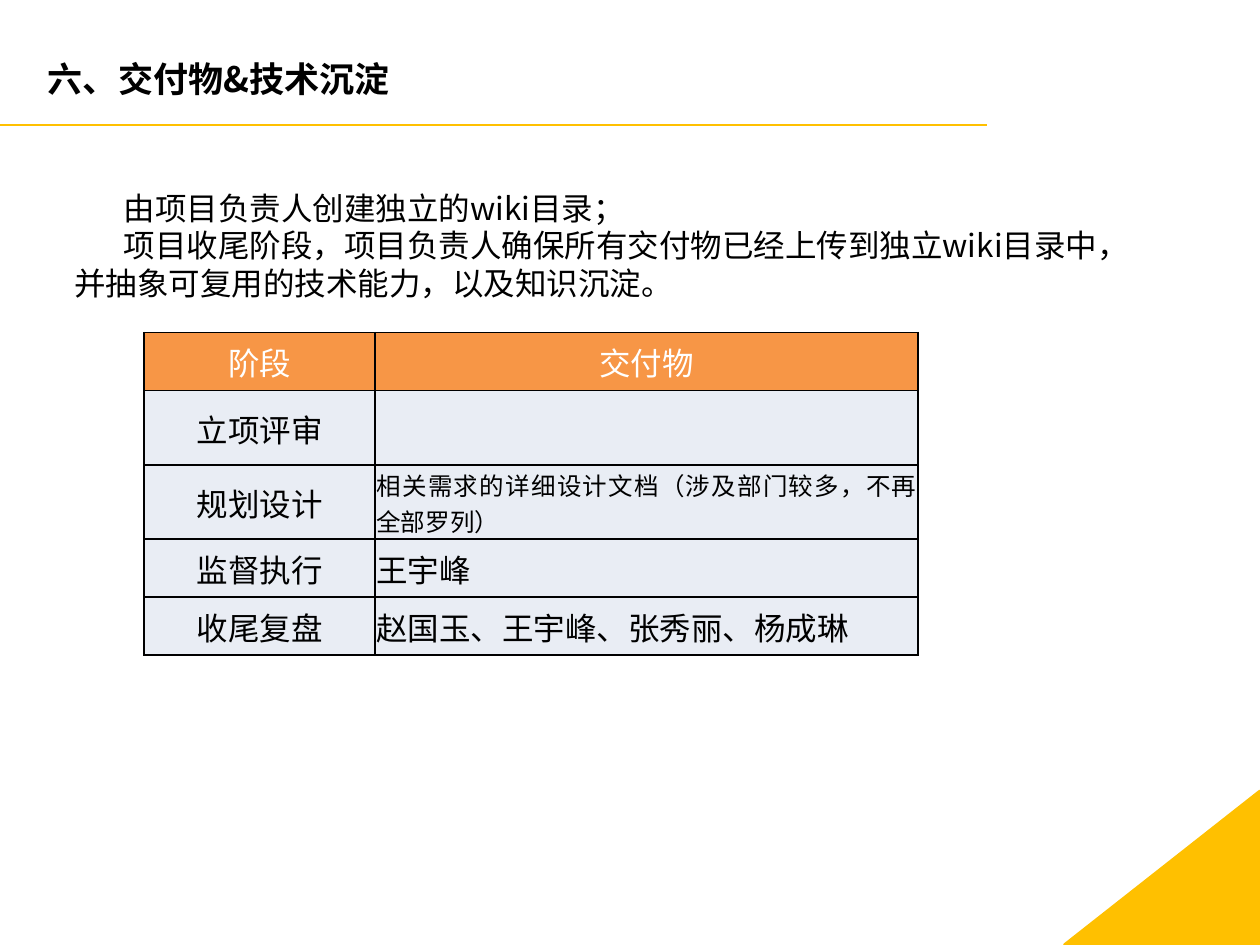
from lxml import etree
from pptx import Presentation
from pptx.dml.color import RGBColor
from pptx.enum.shapes import MSO_CONNECTOR, MSO_SHAPE
from pptx.enum.text import MSO_ANCHOR, MSO_AUTO_SIZE, PP_ALIGN
from pptx.oxml.ns import qn
from pptx.util import Pt

STRAIGHT = MSO_CONNECTOR.STRAIGHT
RIGHT_TRIANGLE = MSO_SHAPE.RIGHT_TRIANGLE
MIDDLE = MSO_ANCHOR.MIDDLE
GROW = MSO_AUTO_SIZE.SHAPE_TO_FIT_TEXT
LEFT, CENTER, JUSTIFY = PP_ALIGN.LEFT, PP_ALIGN.CENTER, PP_ALIGN.JUSTIFY

FONT = "Noto Sans CJK SC"
COLORS = {"accent": "FFC000", "header": "F79646", "body": "E9EDF4",
          "dark": "000000", "light": "FFFFFF"}
TITLE = "六、交付物&技术沉淀"
NOTES = [
    "由项目负责人创建独立的wiki目录；",
    "项目收尾阶段，项目负责人确保所有交付物已经上传到独立wiki目录中，"
    "并抽象可复用的技术能力，以及知识沉淀。",
]
ROWS = [
    ("阶段", "交付物"),
    ("立项评审", ""),
    ("规划设计", "相关需求的详细设计文档（涉及部门较多，不再全部罗列）"),
    ("监督执行", "王宇峰"),
    ("收尾复盘", "赵国玉、王宇峰、张秀丽、杨成琳"),
]
COLUMN_WIDTHS = [132.2, 310.2]
ROW_HEIGHTS = [33.2, 42.4, 42.4, 33.2, 33.2]
SMALL_ROW = 2


def color(name):
    """Return a named colour."""
    return RGBColor.from_string(COLORS[name])


def style_para(para, size, tint, align=LEFT, bold=False):
    """Format a paragraph and its runs."""
    para.alignment = align
    for span in para.runs:
        span.font.size = Pt(size)
        span.font.bold = bold
        span.font.name = FONT
        span.font.color.rgb = color(tint)
        east_asian = etree.SubElement(span.font._element, qn("a:ea"))
        east_asian.set("typeface", FONT)


def add_decoration(page, width, height):
    """Draw the rule under the title and the corner triangle."""
    rule = page.shapes.add_connector(STRAIGHT, 0, Pt(71.4), Pt(564), Pt(71.4))
    rule.line.color.rgb = color("accent")
    rule.line.width = Pt(1.5)
    etree.SubElement(rule._element.spPr, qn("a:effectLst"))

    across, down = 111.6, 87.8
    left = width - across / 2 - down / 2
    top = height - down / 2 - across / 2
    corner = page.shapes.add_shape(RIGHT_TRIANGLE, Pt(left), Pt(top), Pt(down), Pt(across))
    corner.rotation = 270
    corner.shadow.inherit = False
    corner.fill.solid()
    corner.fill.fore_color.rgb = color("accent")
    corner.line.color.rgb = color("accent")
    corner.line.width = Pt(2)


def place_title(page, left, top, width, height):
    """Move and format the title placeholder."""
    title = page.shapes.title
    title.left, title.top, title.width, title.height = map(Pt, (left, top, width, height))
    title.text_frame.text = TITLE
    title.text_frame.vertical_anchor = MIDDLE
    style_para(title.text_frame.paragraphs[0], 20, "dark", bold=True)


def add_notes(page, left, top, width, height):
    """Add the paragraphs with indented first lines."""
    box = page.shapes.add_textbox(Pt(left), Pt(top), Pt(width), Pt(height))
    frame = box.text_frame
    frame.word_wrap = True
    frame.auto_size = GROW
    frame.text = "\n".join(NOTES)
    for para in frame.paragraphs:
        style_para(para, 18, "dark")
        para.line_spacing = Pt(21.5)
        para._p.get_or_add_pPr().set("indent", str(Pt(28.4)))


def add_borders(cell):
    """Draw thin lines on all four sides of a cell."""
    properties = cell._tc.get_or_add_tcPr()
    for position, side in enumerate(("a:lnL", "a:lnR", "a:lnT", "a:lnB")):
        line = etree.Element(qn(side), w=str(Pt(1)))
        fill = etree.SubElement(line, qn("a:solidFill"))
        etree.SubElement(fill, qn("a:srgbClr"), val=COLORS["dark"])
        properties.insert(position, line)


def fill_cell(cell, text, size, tint, fill, align):
    """Write and format one table cell."""
    cell.margin_left = cell.margin_right = cell.margin_top = Pt(0.75)
    cell.margin_bottom = 0
    cell.vertical_anchor = MIDDLE
    cell.fill.solid()
    cell.fill.fore_color.rgb = color(fill)
    add_borders(cell)
    cell.text_frame.text = text
    style_para(cell.text_frame.paragraphs[0], size, tint, align)


def add_deliverables(page, left, top):
    """Add the table of stages and deliverables."""
    table = page.shapes.add_table(
        len(ROWS), len(COLUMN_WIDTHS), Pt(left), Pt(top),
        Pt(sum(COLUMN_WIDTHS)), Pt(sum(ROW_HEIGHTS))).table
    for column, width in zip(table.columns, COLUMN_WIDTHS):
        column.width = Pt(width)
    for r, texts in enumerate(ROWS):
        table.rows[r].height = Pt(ROW_HEIGHTS[r])
        tint, fill = ("light", "header") if r == 0 else ("dark", "body")
        for c, text in enumerate(texts):
            size = 14 if (r, c) == (SMALL_ROW, 1) else 18
            align = CENTER if r == 0 or c == 0 else JUSTIFY
            fill_cell(table.cell(r, c), text, size, tint, fill, align)


def build_deck():
    """Build the one-slide deck and save it."""
    deck = Presentation()
    deck.slide_width, deck.slide_height = Pt(720), Pt(540)
    page = deck.slides.add_slide(deck.slide_layouts[5])
    add_decoration(page, 720, 540)
    place_title(page, 20.2, 0, 648, 90)
    add_notes(page, 35.2, 104.4, 623.6, 72.7)
    add_deliverables(page, 82.2, 190)
    deck.save("out.pptx")


build_deck()
